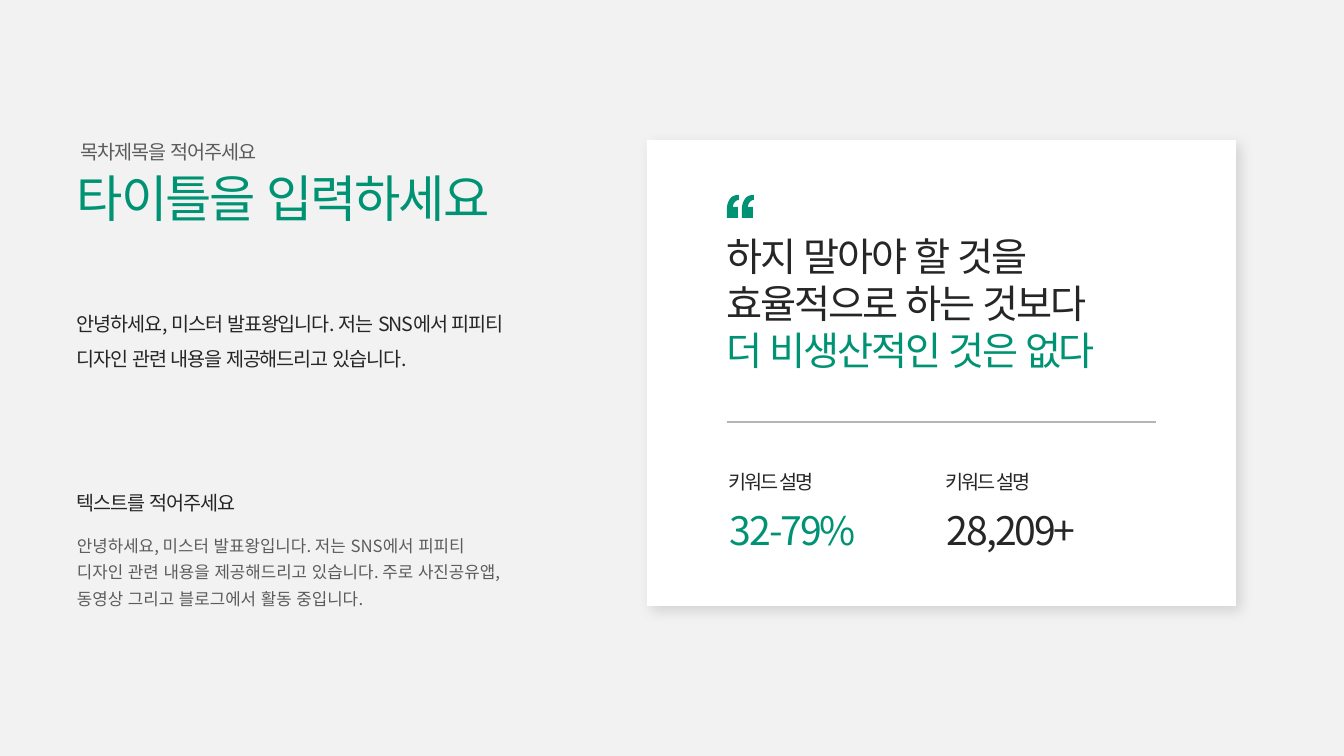
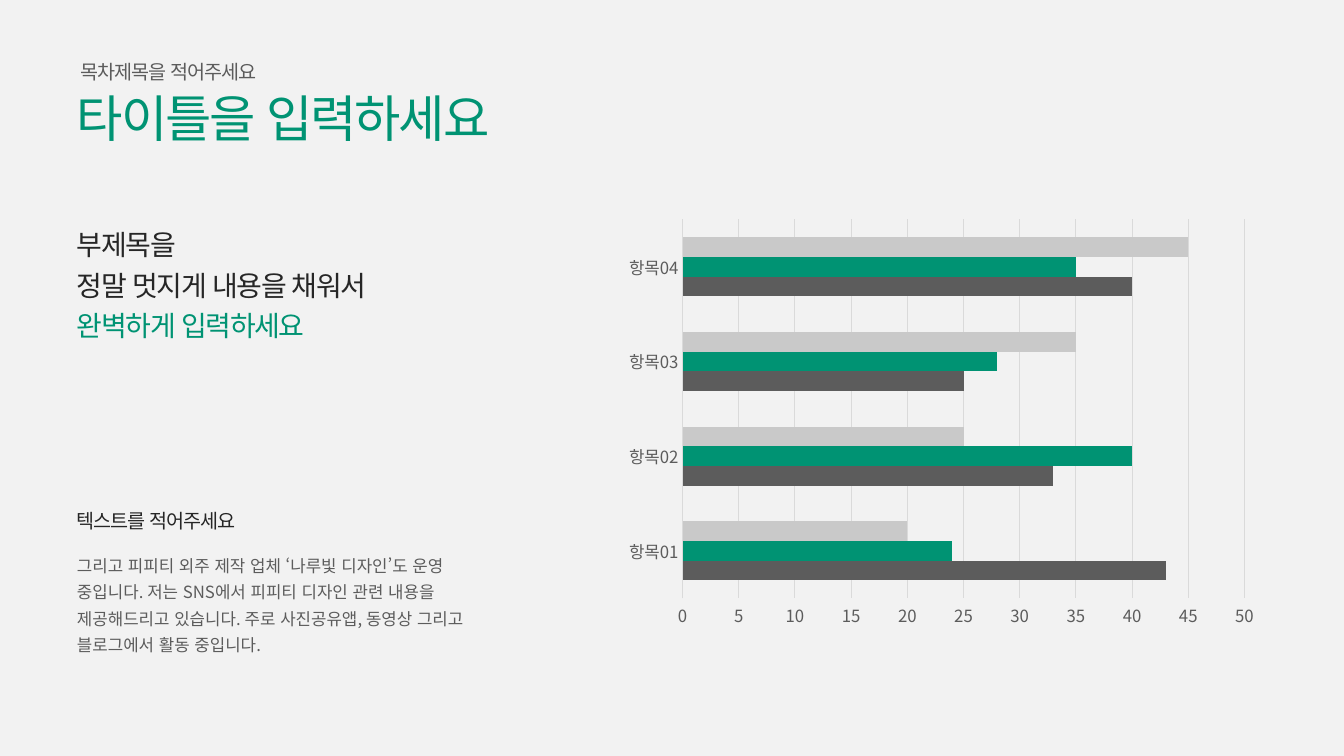
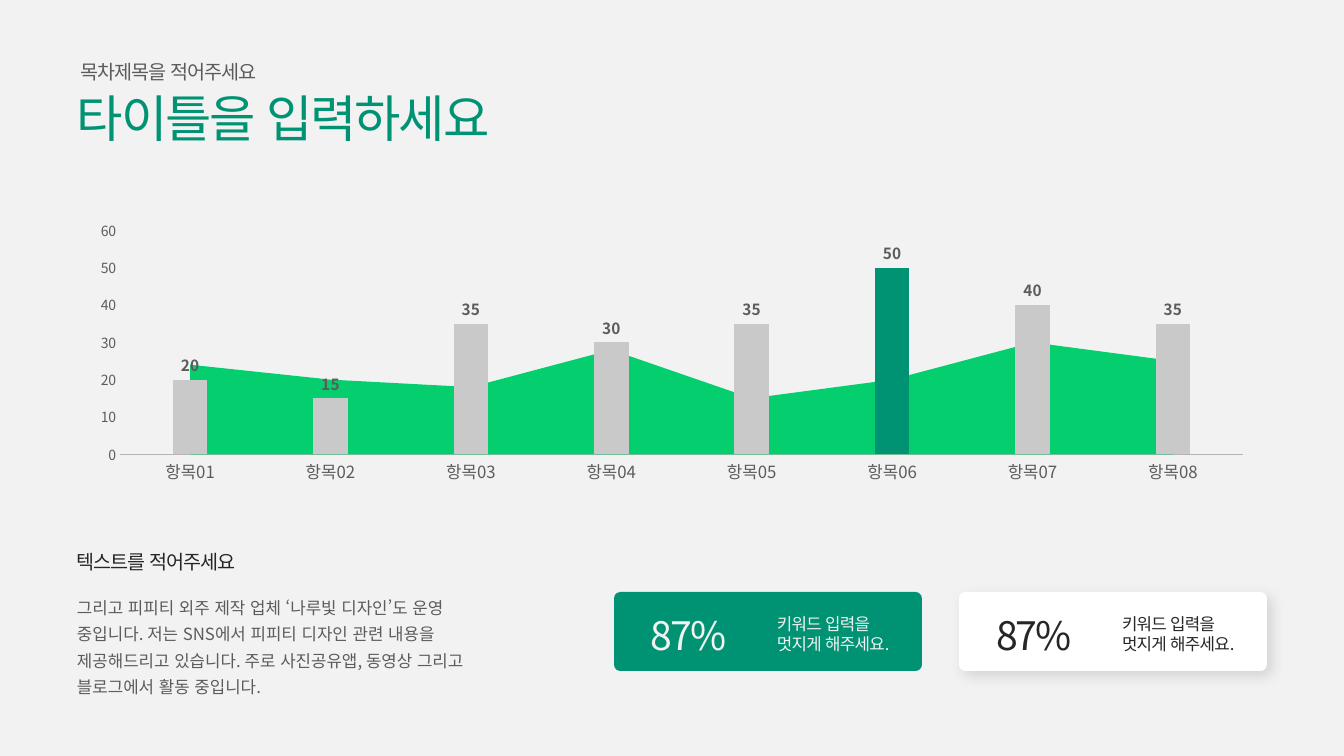
from copy import deepcopy
from dataclasses import dataclass

from pptx import Presentation
from pptx.chart.data import CategoryChartData
from pptx.dml.color import RGBColor as RGB
from pptx.enum.chart import XL_CHART_TYPE as ChartType
from pptx.enum.chart import XL_LABEL_POSITION as LabelPosition
from pptx.enum.chart import XL_TICK_MARK as TickMark
from pptx.enum.shapes import MSO_CONNECTOR as Connector
from pptx.enum.shapes import MSO_SHAPE as Shape
from pptx.enum.text import MSO_ANCHOR as Anchor
from pptx.enum.text import MSO_AUTO_SIZE as AutoSize
from pptx.enum.text import PP_ALIGN as Align
from pptx.oxml import parse_xml
from pptx.oxml.ns import nsdecls, qn
from pptx.oxml.xmlchemy import OxmlElement
from pptx.util import Emu, Pt


@dataclass(frozen=True)
class Theme:
    font: str = "Noto Sans CJK KR"
    background: RGB = RGB.from_string("F2F2F2")
    white: RGB = RGB.from_string("FFFFFF")
    green: RGB = RGB.from_string("009373")
    bright: RGB = RGB.from_string("04CE6E")
    ink: RGB = RGB.from_string("262626")
    gray: RGB = RGB.from_string("5C5C5C")
    rule: RGB = RGB.from_string("B5B5B5")
    silver: RGB = RGB.from_string("C9C9C9")
    grid: RGB = RGB.from_string("DADADA")
    title: int = 36
    display: int = 28
    subtitle: int = 20
    label: int = 14
    body: int = 12
    data: int = 11
    scale: int = 10


theme = Theme()
SCALE = 914400 / 100.8


def px(*lengths):
    return [Emu(round(length * SCALE)) for length in lengths]


def write(shape, lines, size, color, tracking=0, spacing=None, align=Align.LEFT, wrap=False):
    frame = shape.text_frame
    frame.text = "\n".join(lines)
    frame.word_wrap = wrap
    frame.auto_size = AutoSize.SHAPE_TO_FIT_TEXT
    frame.vertical_anchor = Anchor.TOP
    frame.margin_left = frame.margin_right = frame.margin_top = frame.margin_bottom = 0
    for paragraph in frame.paragraphs:
        paragraph.alignment = align
        paragraph.line_spacing = spacing
        for run in paragraph.runs:
            run.font.size = Pt(size)
            run.font.color.rgb = color
            run.font.name = theme.font
            properties = run.font._element
            properties.set("lang", "ko-KR")
            properties.set("spc", str(round(tracking * 100)))
            east_asian = OxmlElement("a:ea")
            east_asian.set("typeface", theme.font)
            properties.find(qn("a:latin")).addnext(east_asian)
    return frame


presentation = Presentation()
presentation.slide_width, presentation.slide_height = px(1344, 756)
master_fill = presentation.slide_master.background.fill
master_fill.solid()
master_fill.fore_color.rgb = theme.background
title_layout = presentation.slide_layouts.get_by_name("Title Only")

intro = "안녕하세요, 미스터 발표왕입니다. 저는 SNS에서 피피티 디자인 관련 내용을 제공해드리고 있습니다."
activity = "주로 사진공유앱, 동영상 그리고 블로그에서 활동 중입니다."
studio = (
    "그리고 피피티 외주 제작 업체 ‘나루빛 디자인’도 운영 중입니다. "
    "저는 SNS에서 피피티 디자인 관련 내용을 제공해드리고 있습니다. " + activity
)

slides = []
for header_top, heading_top, body_top, body_width, body in (
    (140, 491, 530, 433, intro + " " + activity),
    (60, 509, 550, 428, studio),
    (60, 550, 592, 428, studio),
):
    slide = presentation.slides.add_slide(title_layout)
    slides.append(slide)
    title = slide.shapes.title
    title.left, title.top, title.width, title.height = px(77, header_top + 27, 433, 61)
    write(title, ["타이틀을 입력하세요"], theme.title, theme.green, -1.5)
    section = slide.shapes.add_textbox(*px(81, header_top, 183, 24))
    write(section, ["목차제목을 적어주세요"], theme.label, theme.gray, -0.8)
    heading = slide.shapes.add_textbox(*px(77, heading_top, 166, 24))
    write(heading, ["텍스트를 적어주세요"], theme.label, theme.ink, -0.8)
    description = slide.shapes.add_textbox(*px(77, body_top, body_width, 77))
    write(description, [body], theme.body, theme.gray, spacing=1.3, wrap=True)

quote_slide, bar_slide, combo_slide = slides
shadowed = []

greeting = quote_slide.shapes.add_textbox(*px(77, 300, 433, 69))
write(greeting, [intro], theme.label, theme.ink, -0.8, spacing=1.5, wrap=True)

quote_card = quote_slide.shapes.add_shape(Shape.RECTANGLE, *px(647, 140, 589, 466))
quote_card.fill.solid()
quote_card.fill.fore_color.rgb = theme.white
quote_card.line.fill.background()
shadowed.append(quote_card)

mark_curves = (
    ((12, 5), (10, 5), (9, 6), (8, 7)),
    ((8, 7), (7, 8), (6, 10), (6, 12)),
    ((11, 12), (11, 12), (11, 23), (11, 23)),
    ((0, 23), (0, 23), (0, 14), (0, 14)),
    ((0, 14), (0, 10), (1, 7), (3, 4)),
    ((3, 4), (5, 1), (8, 0), (12, 0)),
)
CURVE_STEPS = 6
FINE = 100
mark_outline = []
for curve in mark_curves:
    for step in range(CURVE_STEPS + 1):
        t = step / CURVE_STEPS
        weights = ((1 - t) ** 3, 3 * t * (1 - t) ** 2, 3 * t * t * (1 - t), t ** 3)
        mark_outline.append([sum(w * point[axis] for w, point in zip(weights, curve)) for axis in (0, 1)])

builder = quote_slide.shapes.build_freeform(scale=SCALE / FINE)
for mark_left in (742, 727):
    points = [((mark_left + x) * FINE, (195 + y) * FINE) for x, y in mark_outline]
    builder.move_to(*points[-1])
    builder.add_line_segments(points[:-1], close=True)
quote_mark = builder.convert_to_shape()
quote_mark.left, quote_mark.top, quote_mark.width, quote_mark.height = px(727, 195, 27, 23)
first_path = quote_mark._element.find(".//" + qn("a:path"))
first_move = first_path.find(qn("a:moveTo"))
if first_move.getnext().tag == qn("a:moveTo"):
    first_path.remove(first_move)
    left_edge, top_edge = 727 * FINE, 195 * FINE
    moves = [p for p in first_path.iter(qn("a:pt"))]
    if min(int(p.get("x")) for p in moves) >= left_edge:
        for p in moves:
            p.set("x", str(int(p.get("x")) - left_edge))
            p.set("y", str(int(p.get("y")) - top_edge))
    first_path.set("w", str(27 * FINE))
    first_path.set("h", str(23 * FINE))
quote_mark.shadow.inherit = False
quote_mark.fill.solid()
quote_mark.fill.fore_color.rgb = theme.green
quote_mark.line.fill.background()

quote = quote_slide.shapes.add_textbox(*px(727, 232, 386, 142))
quote_lines = ["하지 말아야 할 것을", "효율적으로 하는 것보다", "더 비생산적인 것은 없다"]
quote_frame = write(quote, quote_lines, theme.display, theme.ink, -1.5)

divider = quote_slide.shapes.add_connector(Connector.STRAIGHT, *px(727, 422, 1156, 422))
divider.line.color.rgb = theme.rule
divider.line.width = Pt(1.25)
divider._element.spPr.append(OxmlElement("a:effectLst"))

for index, (value, color) in enumerate((("32-79%", theme.green), ("28,209+", theme.ink))):
    left = 727 + 217 * index
    keyword = quote_slide.shapes.add_textbox(*px(left, 470, 88, 24))
    write(keyword, ["키워드 설명"], theme.label, theme.ink, -1.5, align=Align.CENTER)
    figure = quote_slide.shapes.add_textbox(*px(left + 3, 506, 148 + 6 * index, 47))
    write(figure, [value], theme.display, color, -1.5)

subtitle = bar_slide.shapes.add_textbox(*px(77, 221, 303, 122))
subtitle_lines = ["부제목을", "정말 멋지게 내용을 채워서", "완벽하게 입력하세요"]
subtitle_frame = write(subtitle, subtitle_lines, theme.subtitle, theme.ink, -1, spacing=1.2)

for frame in (quote_frame, subtitle_frame):
    frame.paragraphs[-1].runs[0].font.color.rgb = theme.green

charts = []
for slide, kind, box, gap, top_value, step, value_size, axis_line, series_list in (
    (
        bar_slide, ChartType.BAR_CLUSTERED, (616, 211, 651, 425), 182, 50, 5, theme.body, theme.grid,
        (
            ((43, 33, 25, 40), theme.gray),
            ((24, 40, 28, 35), theme.green),
            ((20, 25, 35, 45), theme.silver),
        ),
    ),
    (
        combo_slide, ChartType.COLUMN_CLUSTERED, (77, 215, 1190, 274), 305, 60, 10, theme.scale, theme.rule,
        (
            ((24, 20, 18, 28, 15, 20, 30, 25), theme.bright),
            ((20, 15, 35, 30, 35, 50, 40, 35), theme.silver),
        ),
    ),
):
    data = CategoryChartData()
    data.categories = [f"항목{number:02d}" for number in range(1, len(series_list[0][0]) + 1)]
    for number, (values, color) in enumerate(series_list, 1):
        data.add_series(f"Series {number}", values)
    chart = slide.shapes.add_chart(kind, *px(*box), data).chart
    charts.append(chart)
    chart.has_title = False
    chart.has_legend = False
    chart.font.name = theme.font
    chart.font.size = Pt(theme.data)
    plot = chart.plots[0]
    plot.gap_width = gap
    plot.overlap = 0
    plot.vary_by_categories = False
    for series, (values, color) in zip(plot.series, series_list):
        series.format.fill.solid()
        series.format.fill.fore_color.rgb = color
    for axis, size in ((chart.category_axis, theme.body), (chart.value_axis, value_size)):
        axis.major_tick_mark = axis.minor_tick_mark = TickMark.NONE
        axis.tick_labels.font.size = Pt(size)
        axis.tick_labels.font.color.rgb = theme.gray
        axis.tick_labels.font.name = theme.font
    chart.category_axis.format.line.color.rgb = axis_line
    chart.category_axis.format.line.width = Pt(0.75)
    value_axis = chart.value_axis
    value_axis.minimum_scale = 0
    value_axis.maximum_scale = top_value
    value_axis.major_unit = step
    value_axis.format.line.fill.background()
    value_axis.has_major_gridlines = slide is bar_slide
    value_element = chart.element.find(".//" + qn("c:valAx"))
    for crossing in value_element.findall(qn("c:crossBetween")):
        value_element.remove(crossing)
    crossing = parse_xml(f'<c:crossBetween {nsdecls("c")} val="between"/>')
    value_element.find(qn("c:crosses")).addnext(crossing)

bar_chart, combo_chart = charts
gridline = bar_chart.value_axis.major_gridlines.format.line
gridline.color.rgb = theme.grid
gridline.width = Pt(0.75)

area_series, column_series = combo_chart.plots[0].series
peak = column_series.points[5].format.fill
peak.solid()
peak.fore_color.rgb = theme.green
labels = column_series.data_labels
labels.show_value = True
labels.position = LabelPosition.OUTSIDE_END
labels.font.size = Pt(theme.data)
labels.font.bold = True
labels.font.color.rgb = theme.gray
labels.font.name = theme.font

column_plot = combo_chart.element.find(".//" + qn("c:barChart"))
area_plot = parse_xml(
    f'<c:areaChart {nsdecls("c")}><c:grouping val="stacked"/><c:varyColors val="0"/></c:areaChart>'
)
area_element = area_series._element
for invert in area_element.findall(qn("c:invertIfNegative")):
    area_element.remove(invert)
area_plot.append(area_element)
for axis_id in column_plot.findall(qn("c:axId")):
    area_plot.append(deepcopy(axis_id))
column_plot.addprevious(area_plot)

for chart in charts:
    for latin in list(chart.element.iter(qn("a:latin"))):
        east_asian = OxmlElement("a:ea")
        east_asian.set("typeface", theme.font)
        latin.addnext(east_asian)

for index, (fill, color) in enumerate(((theme.green, theme.background), (theme.white, theme.ink))):
    left = 614 + 345 * index
    card = combo_slide.shapes.add_shape(Shape.ROUNDED_RECTANGLE, *px(left, 592, 308, 79))
    card.adjustments[0] = 0.08
    card.shadow.inherit = False
    card.fill.solid()
    card.fill.fore_color.rgb = fill
    card.line.fill.background()
    percent = combo_slide.shapes.add_textbox(*px(left + 37, 611, 84, 47))
    write(percent, ["87%"], theme.display, color, -1.5)
    caption = combo_slide.shapes.add_textbox(*px(left + 163, 614, 123, 40))
    write(caption, ["키워드 입력을", "멋지게 해주세요."], theme.body, color, -0.5, wrap=True)
shadowed.append(card)

for card in shadowed:
    card.shadow.inherit = False
    card._element.spPr.find(qn("a:effectLst")).append(parse_xml(
        f'<a:outerShdw {nsdecls("a")} blurRad="{Pt(10)}" dist="{Pt(5)}" dir="2700000" algn="tl" rotWithShape="0">'
        '<a:srgbClr val="000000"><a:alpha val="13000"/></a:srgbClr></a:outerShdw>'
    ))

presentation.save("out.pptx")
